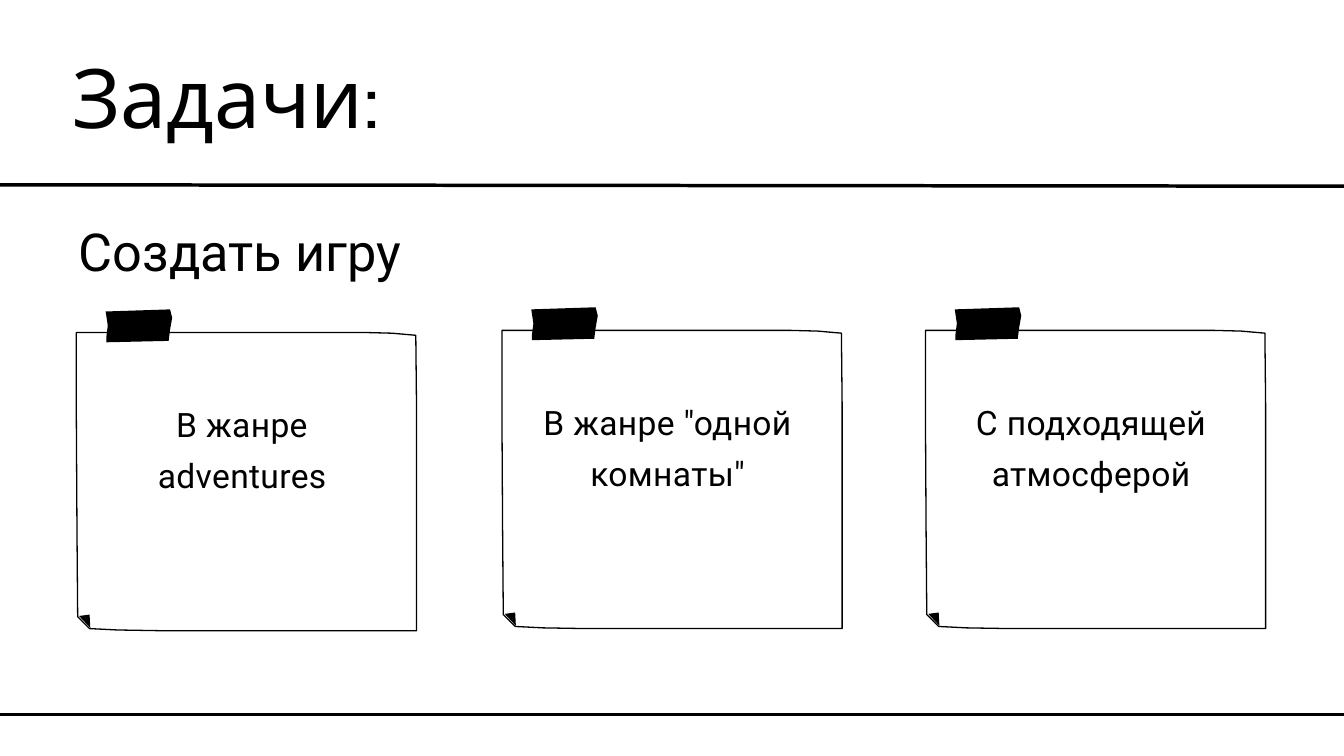
from dataclasses import dataclass

from lxml.etree import SubElement
from pptx import Presentation
from pptx.dml.color import RGBColor
from pptx.enum.shapes import MSO_CONNECTOR as Connector
from pptx.enum.text import MSO_ANCHOR as Anchor, PP_ALIGN as Align
from pptx.oxml.ns import qn
from pptx.util import Pt

PX = 9525


@dataclass(frozen=True)
class Theme:
    """Colours, fonts, type sizes and line widths of the slide."""
    ink: RGBColor = RGBColor(0, 0, 0)
    paper: RGBColor = RGBColor(255, 255, 255)
    title_font: str = "Cabin"
    body_font: str = "Roboto"
    title_size: int = 88
    title_leading: float = 96.8
    subtitle_size: int = 56
    subtitle_leading: float = 78.4
    note_size: int = 36
    note_leading: float = 54
    note_tracking: int = 40
    rule_width: float = 3.75
    sheet_width: float = 1.4


THEME = Theme()

SHEET = [(1, 2), (143, 2), (414, 2), (452, 3), (486, 6), (487, 106), (487, 428),
         (122, 428), (60, 427), (20, 425), (3, 408), (2, 287), (1, 115)]
FOLD = [(21, 424), (20, 405), (5, 407)]
TAPE = [(92, 0), (95, 12), (92, 29), (90, 45), (1, 47), (1, 39), (3, 23), (0, 3)]

NOTES = [
    ((108, 473), "В жанре adventures"),
    ((716, 470), 'В жанре "одной комнаты"'),
    ((1321, 470), "С подходящей атмосферой"),
]


def add_text(slide, box, text, font, size, leading, align=Align.LEFT, tracking=0):
    """Place one paragraph of text in a box without margins."""
    shape = slide.shapes.add_textbox(*(length * PX for length in box))
    frame = shape.text_frame
    frame.word_wrap = True
    frame.vertical_anchor = Anchor.TOP
    frame.margin_left = frame.margin_top = frame.margin_right = frame.margin_bottom = 0
    paragraph = frame.paragraphs[0]
    paragraph.alignment = align
    paragraph.line_spacing = Pt(leading)
    run = paragraph.add_run()
    run.text = text
    run.font.name = font
    run.font.size = Pt(size)
    run.font.color.rgb = THEME.ink
    if tracking:
        run.font._element.set("spc", str(tracking))


def add_outline(slide, left, top, points, fill, line_width=0):
    """Draw a closed outline whose points are relative to left and top."""
    builder = slide.shapes.build_freeform(*points[0], scale=PX)
    builder.add_line_segments(points[1:], close=True)
    shape = builder.convert_to_shape(left * PX, top * PX)
    shape.shadow.inherit = False
    shape.fill.solid()
    shape.fill.fore_color.rgb = fill
    if line_width:
        shape.line.color.rgb = THEME.ink
        shape.line.width = Pt(line_width)
    else:
        shape.line.fill.background()


def add_rule(slide, left, top, width, drop=0):
    """Draw a thick rule that may fall slightly to the right."""
    ends = (left, top, left + width, top + drop)
    rule = slide.shapes.add_connector(Connector.STRAIGHT, *(end * PX for end in ends))
    rule.line.color.rgb = THEME.ink
    rule.line.width = Pt(THEME.rule_width)
    SubElement(rule._element.spPr, qn("a:effectLst"))


def add_heading(slide, left, top):
    """Place the title and the subtitle below it."""
    add_text(slide, (left, top, 908, 132), "Задачи:",
             THEME.title_font, THEME.title_size, THEME.title_leading)
    add_text(slide, (left + 5, top + 220, 470, 100), "Создать игру",
             THEME.body_font, THEME.subtitle_size, THEME.subtitle_leading, Align.CENTER)


def add_note(slide, left, top, text):
    """Place a taped paper note with a folded corner and its text."""
    add_outline(slide, left, top, SHEET, THEME.paper, THEME.sheet_width)
    add_outline(slide, left, top, FOLD, THEME.ink)
    add_outline(slide, left + 43, top - 31, TAPE, THEME.ink)
    add_text(slide, (left + 48, top + 90, 380, 138), text, THEME.body_font,
             THEME.note_size, THEME.note_leading, Align.CENTER, THEME.note_tracking)


def main():
    """Build the slide and save it."""
    presentation = Presentation()
    presentation.slide_width = 1920 * PX
    presentation.slide_height = 1080 * PX
    slide = presentation.slides.add_slide(presentation.slide_layouts[6])
    slide.background.fill.solid()
    slide.background.fill.fore_color.rgb = THEME.paper
    add_heading(slide, 103, 78)
    for (left, top), text in NOTES:
        add_note(slide, left, top, text)
    add_rule(slide, 0, 1021, 1920)
    add_rule(slide, 0, 264, 1920, drop=2)
    presentation.save("out.pptx")


if __name__ == "__main__":
    main()
